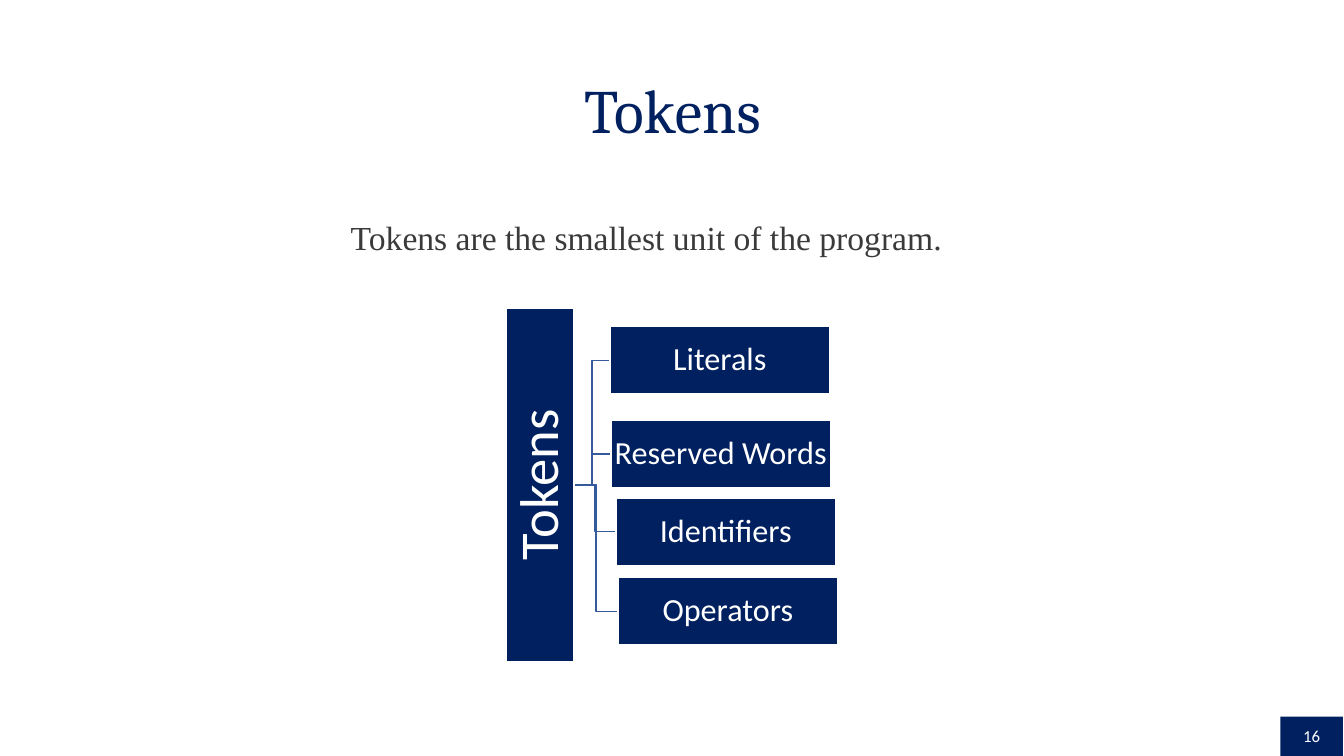
from pptx import Presentation
from pptx.dml.color import RGBColor
from pptx.enum.shapes import MSO_SHAPE
from pptx.enum.text import MSO_ANCHOR, PP_ALIGN
from pptx.util import Inches, Pt

RECT = MSO_SHAPE.RECTANGLE
MIDDLE = MSO_ANCHOR.MIDDLE
CENTER, LEFT = PP_ALIGN.CENTER, PP_ALIGN.LEFT

NAVY = RGBColor(0x00, 0x20, 0x60)
BLUE = RGBColor(0x36, 0x5B, 0x9D)
GREY = RGBColor(0x3A, 0x3A, 0x3A)
WHITE = RGBColor(0xFF, 0xFF, 0xFF)

WIDE, HIGH = 13.33, 7.5
BOX_W, BOX_H = 2.18, 0.67
ROOT_LEN = 3.5
ROOT_X, ROOT_Y = 5.36, 4.81  # centre of the upright bar
KINDS = [
    ("Literals", 6.05, 3.24),
    ("Reserved Words", 6.06, 4.17),
    ("Identifiers", 6.11, 4.94),
    ("Operators", 6.13, 5.73),
]


def write(shape, text, font, size, color, align=CENTER, spacing=None):
    frame = shape.text_frame
    frame.text = text
    frame.word_wrap = True
    para = frame.paragraphs[0]
    para.alignment = align
    para.line_spacing = spacing
    para.font.name = font
    para.font.size = Pt(size)
    para.font.color.rgb = color
    return frame


def add_box(slide, text, x, y, w, h, size, inset=0.02, edge=WHITE):
    box = slide.shapes.add_shape(RECT, Inches(x), Inches(y), Inches(w), Inches(h))
    box.shadow.inherit = False
    box.fill.solid()
    box.fill.fore_color.rgb = NAVY
    if edge is None:
        box.line.fill.background()
    else:
        box.line.color.rgb = edge
        box.line.width = Pt(1)
    frame = write(box, text, "Calibri", size, WHITE, spacing=0.9)
    frame.vertical_anchor = MIDDLE
    frame.margin_left = frame.margin_right = Inches(inset)
    frame.margin_top = frame.margin_bottom = Inches(inset)
    return box


def add_branch(slide, x1, y1, x2, y2):
    """Draw a right-angled line that turns halfway across."""
    mid = (x1 + x2) / 2
    pen = slide.shapes.build_freeform(Inches(x1), Inches(y1))
    turns = [(mid, y1), (mid, y2), (x2, y2)]
    pen.add_line_segments([(Inches(x), Inches(y)) for x, y in turns], close=False)
    line = pen.convert_to_shape()
    line.shadow.inherit = False
    line.fill.background()
    line.line.color.rgb = BLUE
    line.line.width = Pt(1)


def add_tree(slide):
    for _, x, y in KINDS:
        add_branch(slide, ROOT_X + BOX_H / 2, ROOT_Y, x, y + BOX_H / 2)
    root = add_box(slide, "Tokens", ROOT_X - ROOT_LEN / 2, ROOT_Y - BOX_H / 2,
                   ROOT_LEN, BOX_H, 39, inset=0.03)
    root.rotation = 270
    for name, x, y in KINDS:
        add_box(slide, name, x, y, BOX_W, BOX_H, 23)


def add_title(slide, text):
    title = slide.shapes.title
    title.left, title.top = Inches(0.92), Inches(0.4)
    title.width, title.height = Inches(11.5), Inches(1.45)
    frame = write(title, text, "Cambria", 44, NAVY, spacing=0.9)
    frame.vertical_anchor = MIDDLE


def add_note(slide, text):
    note = slide.shapes.add_textbox(Inches(3.38), Inches(2.1), Inches(9.48), Inches(0.5))
    write(note, text, "Times New Roman", 24, GREY, LEFT)


def main():
    deck = Presentation()
    deck.slide_width, deck.slide_height = Inches(WIDE), Inches(HIGH)
    slide = deck.slides.add_slide(deck.slide_layouts[5])
    add_title(slide, "Tokens")
    add_box(slide, "16", 12.7, 7.11, 0.62, 0.4, 12, edge=None)
    add_tree(slide)
    add_note(slide, "Tokens are the smallest unit of the program.")
    deck.save("out.pptx")


if __name__ == "__main__":
    main()
